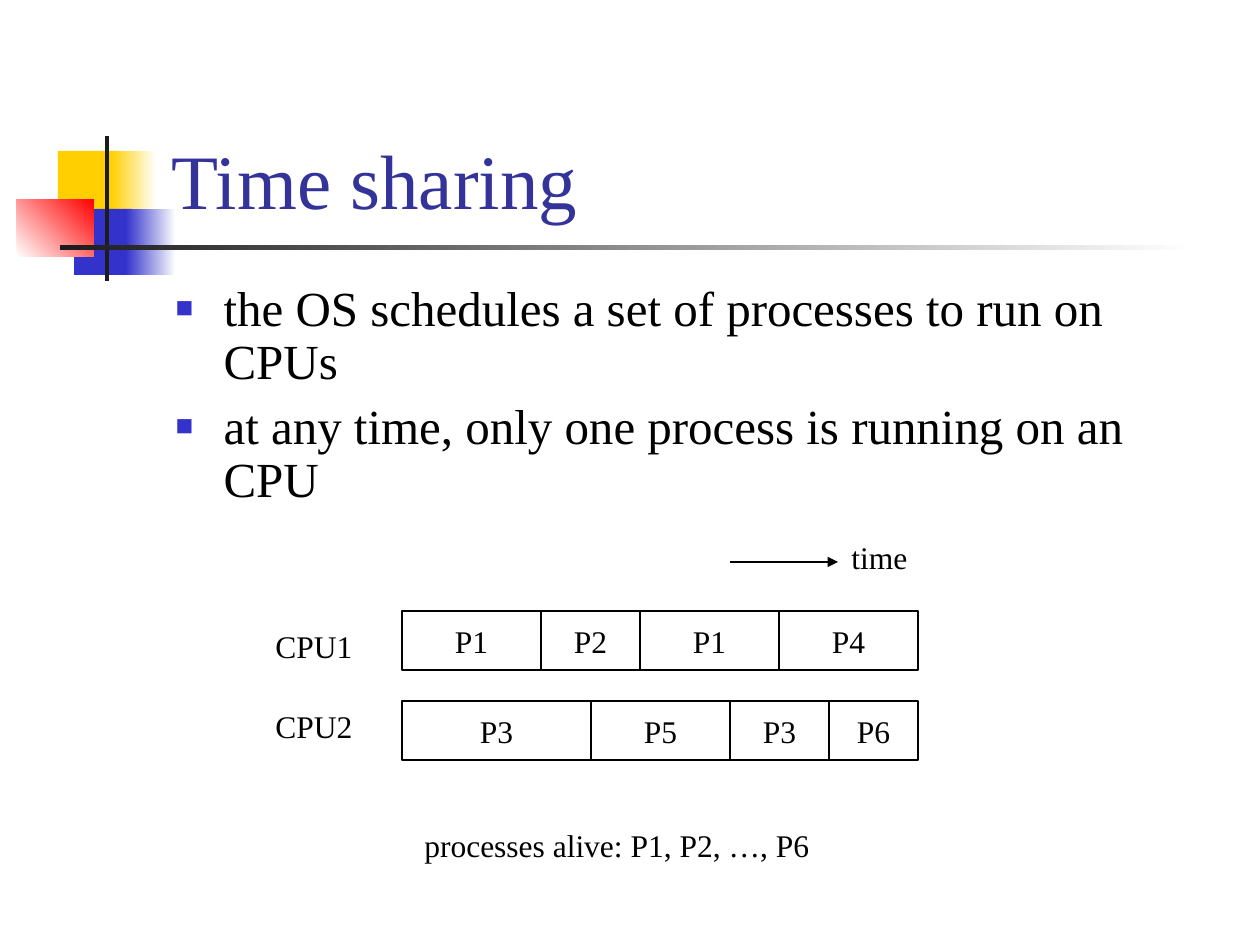
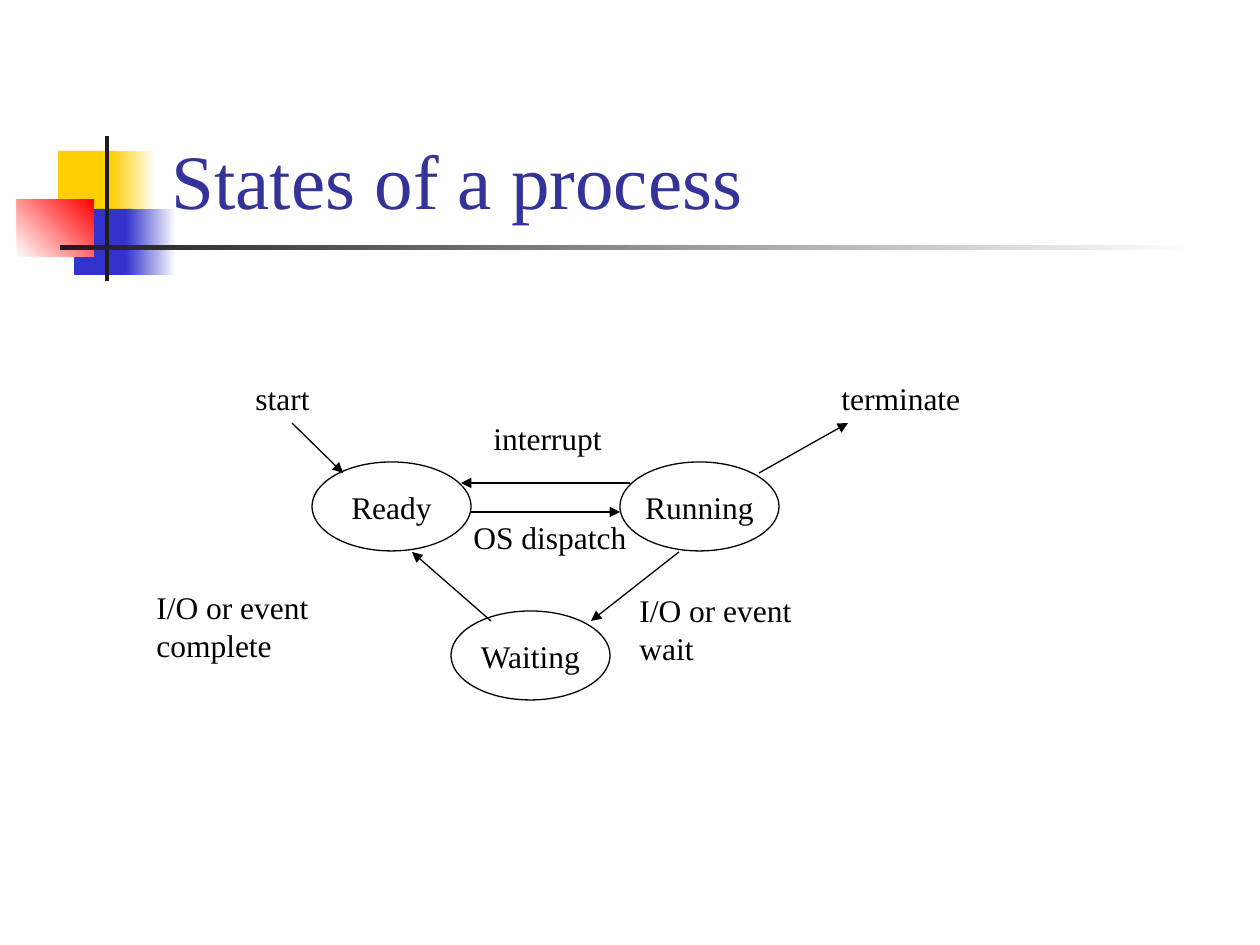
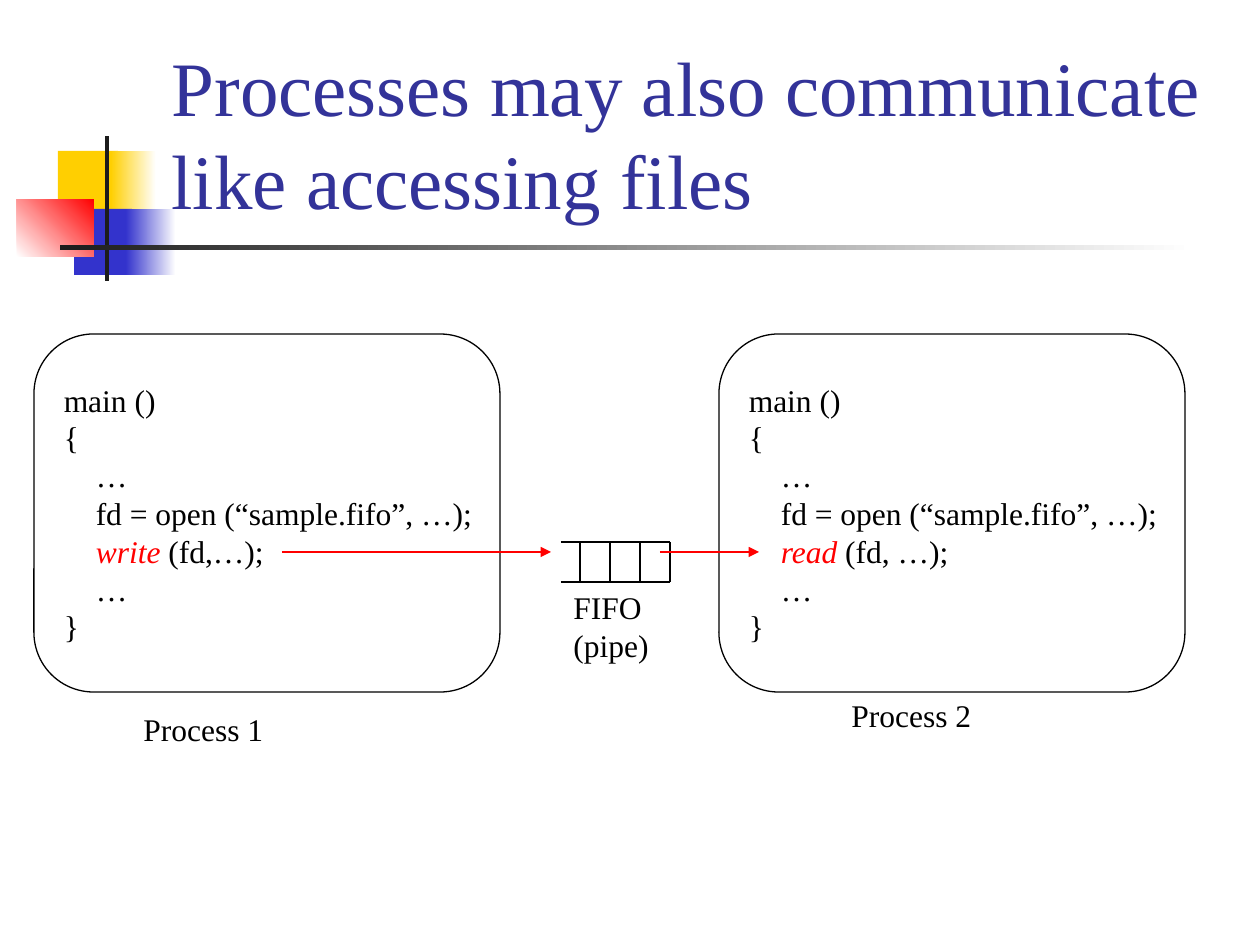
from lxml.etree import SubElement
from pptx import Presentation
from pptx.dml.color import RGBColor
from pptx.enum.shapes import MSO_CONNECTOR as Connector, MSO_SHAPE as Shape
from pptx.enum.text import MSO_ANCHOR as Anchor, MSO_AUTO_SIZE as AutoSize, PP_ALIGN as Align
from pptx.oxml.ns import qn
from pptx.util import Emu, Pt

PX_PER_INCH = 126
SLIDE_SIZE = (1260, 945)
FONT = "Times New Roman"
BLACK, WHITE, RED = "000000", "FFFFFF", "FF0000"
YELLOW, BLUE, CHARCOAL, TITLE_BLUE = "FFCF01", "3333CC", "1C1C1C", "333399"
LINE_WIDTH = Pt(0.75)
LABEL_HEIGHT = 50
TITLE_BOX = (159, 29, 1074, 202)
BODY_BOX = (163, 278, 1071, 244)
TITLE_AND_BODY, TITLE_ONLY = 1, 5

# Box, fill colours (two make a gradient), gradient angle
MOTIF = [
    ((58, 151, 60, 66), [YELLOW], 0),
    ((111, 151, 45, 66), [YELLOW, WHITE], 0),
    ((74, 209, 58, 66), [BLUE], 0),
    ((126, 209, 50, 66), [BLUE, WHITE], 0),
    ((17, 199, 77, 58), [WHITE, RED], 45),
    ((105, 136, 4, 145), [CHARCOAL], 0),
    ((60, 245, 1134, 5), [CHARCOAL, WHITE], 0),
]

# Time sharing: labels are text, left, top, width
SCHEDULING_POINTS = [
    "the OS schedules a set of processes to run on CPUs",
    "at any time, only one process is running on an CPU",
]
TIMELINE_LEFT, TIMELINE_HEIGHT = 402, 59
TIMELINES = [
    (611, [("P1", 139), ("P2", 99), ("P1", 139), ("P4", 139)]),
    (701, [("P3", 189), ("P5", 139), ("P3", 99), ("P6", 89)]),
]
TIME_ARROW = (730, 562, 838, 562)
SCHEDULE_LABELS = [
    ("time", 839, 532, 81),
    ("CPU1", 263, 621, 102),
    ("CPU2", 263, 701, 102),
    ("processes alive: P1, P2, …, P6", 412, 820, 410),
]

# States of a process
STATE_SIZE = (159, 89)
STATES = [("Ready", 312, 462), ("Running", 620, 462), ("Waiting", 451, 611)]
TRANSITIONS = [
    (630, 483, 461, 483),
    (471, 512, 620, 512),
    (679, 552, 591, 621),
    (491, 621, 412, 552),
    (292, 423, 343, 473),
    (759, 473, 848, 423),
]
STATE_LABELS = [
    ("start", 243, 373, 79),
    ("terminate", 829, 373, 144),
    ("interrupt", 481, 413, 134),
    ("OS dispatch", 461, 512, 178),
    ("I/O or event wait", 627, 585, 239),
    ("I/O or event complete", 144, 582, 300),
]

# Communication through a FIFO
PROGRAM_TOP, PROGRAM_SIZE, CODE_INDENT = 334, (466, 358), 32
PROGRAMS = [(34, "write", " (fd,…);"), (719, "read", " (fd, …);")]
QUEUE_LEFT, QUEUE_TOP, QUEUE_BOTTOM = 561, 542, 582
QUEUE_DIVIDERS = range(580, 671, 30)
DATA_ARROWS = [(282, 552, 551, 552), (660, 552, 759, 552)]
PIPE_LABELS = [
    ("FIFO\n(pipe)", 561, 582, 100),
    ("Process 1", 131, 704, 145),
    ("Process 2", 839, 690, 145),
]


def px(length):
    return Emu(round(length * 914400 / PX_PER_INCH))


def scaled(lengths):
    return [px(length) for length in lengths]


def rgb(hex_colour):
    return RGBColor.from_string(hex_colour)


def assign(target, values):
    for attribute, value in values.items():
        setattr(target, attribute, value)


def add_run(paragraph, text, size=18, colour=BLACK, italic=False):
    run = paragraph.add_run()
    run.text = text
    assign(run.font, {"name": FONT, "size": Pt(size), "italic": italic})
    run.font.color.rgb = rgb(colour)


def add_paragraphs(frame, count):
    return [frame.paragraphs[0]] + [frame.add_paragraph() for _ in range(count - 1)]


def place(shape, box):
    assign(shape, dict(zip(("left", "top", "width", "height"), scaled(box))))


def add_outline(slide, preset, box):
    shape = slide.shapes.add_shape(preset, *scaled(box))
    shape.shadow.inherit = False
    shape.fill.background()
    shape.line.color.rgb = rgb(BLACK)
    shape.line.width = LINE_WIDTH
    assign(shape.text_frame, {"word_wrap": False, "vertical_anchor": Anchor.MIDDLE})
    return shape


def add_named_outline(slide, preset, box, name):
    paragraph = add_outline(slide, preset, box).text_frame.paragraphs[0]
    paragraph.alignment = Align.CENTER
    add_run(paragraph, name)


def add_labels(slide, labels):
    for text, left, top, width in labels:
        lines = text.split("\n")
        frame = slide.shapes.add_textbox(
            *scaled((left, top, width, LABEL_HEIGHT + 38 * (len(lines) - 1)))).text_frame
        assign(frame, {"word_wrap": False, "auto_size": AutoSize.SHAPE_TO_FIT_TEXT})
        for paragraph, line in zip(add_paragraphs(frame, len(lines)), lines):
            add_run(paragraph, line)


def add_line(slide, ends, colour=BLACK, arrow=False):
    connector = slide.shapes.add_connector(Connector.STRAIGHT, *scaled(ends))
    connector.line.color.rgb = rgb(colour)
    connector.line.width = LINE_WIDTH
    properties = connector.element.spPr
    if arrow:
        SubElement(properties.get_or_add_ln(), qn("a:tailEnd"), type="triangle")
    SubElement(properties, qn("a:effectLst"))


def add_slide(deck, layout, title):
    slide = deck.slides.add_slide(deck.slide_layouts[layout])
    heading = slide.shapes.title
    place(heading, TITLE_BOX)
    assign(heading.text_frame, {"vertical_anchor": Anchor.BOTTOM, "auto_size": AutoSize.NONE,
                                "word_wrap": True})
    paragraph = heading.text_frame.paragraphs[0]
    paragraph.alignment = Align.LEFT
    add_run(paragraph, title, 44, TITLE_BLUE)
    return slide


def add_bullets(slide, points):
    body = slide.placeholders[1]
    place(body, BODY_BOX)
    body.text_frame.auto_size = AutoSize.NONE
    for paragraph, point in zip(add_paragraphs(body.text_frame, len(points)), points):
        assign(paragraph, {"line_spacing": 0.9, "space_before": Pt(7)})
        add_run(paragraph, point, 28)
        properties = paragraph._p.get_or_add_pPr()
        properties.set("marL", str(px(48)))
        properties.set("indent", str(-px(48)))
        SubElement(SubElement(properties, qn("a:buClr")), qn("a:srgbClr"), val=BLUE)
        SubElement(properties, qn("a:buSzPct"), val="60000")
        SubElement(properties, qn("a:buFont"), typeface=FONT)
        SubElement(properties, qn("a:buChar"), char="■")


def decorate_master(deck, slide):
    """Draw the motif on the slide, then move it behind the master's placeholders."""
    for index, (box, colours, angle) in enumerate(MOTIF):
        block = slide.shapes.add_shape(Shape.RECTANGLE, *scaled(box))
        block.shadow.inherit = False
        block.line.fill.background()
        if len(colours) == 1:
            block.fill.solid()
            block.fill.fore_color.rgb = rgb(colours[0])
        else:
            block.fill.gradient()
            block.fill.gradient_angle = angle
            for position, (stop, colour) in enumerate(zip(block.fill.gradient_stops, colours)):
                stop.position = position
                stop.color.rgb = rgb(colour)
        block.element.nvSpPr.cNvPr.set("id", str(100 + index))
        deck.slide_master.shapes.element.insert(2 + index, block.element)


def build_time_sharing(deck):
    slide = add_slide(deck, TITLE_AND_BODY, "Time sharing")
    add_bullets(slide, SCHEDULING_POINTS)
    add_line(slide, TIME_ARROW, arrow=True)
    for top, slices in TIMELINES:
        left = TIMELINE_LEFT
        for process, width in slices:
            add_named_outline(slide, Shape.RECTANGLE, (left, top, width, TIMELINE_HEIGHT), process)
            left += width
    add_labels(slide, SCHEDULE_LABELS)
    return slide


def build_states(deck):
    slide = add_slide(deck, TITLE_ONLY, "States of a process")
    for state, left, top in STATES:
        add_named_outline(slide, Shape.OVAL, (left, top, *STATE_SIZE), state)
    for ends in TRANSITIONS:
        add_line(slide, ends, arrow=True)
    add_labels(slide, STATE_LABELS)


def add_program(slide, left, call, arguments):
    box = add_outline(slide, Shape.ROUNDED_RECTANGLE, (left, PROGRAM_TOP, *PROGRAM_SIZE))
    # Indent level, highlighted call, plain text
    code = [(0, "", "main ()"), (0, "", "{"), (1, "", "…"),
            (1, "", "fd = open (“sample.fifo”, …);"),
            (1, call, arguments), (1, "", "…"), (0, "", "}")]
    for paragraph, (level, highlight, plain) in zip(add_paragraphs(box.text_frame, len(code)), code):
        paragraph.alignment = Align.LEFT
        paragraph._p.get_or_add_pPr().set("marL", str(px(level * CODE_INDENT)))
        if highlight:
            add_run(paragraph, highlight, colour=RED, italic=True)
        add_run(paragraph, plain)


def build_pipe(deck):
    slide = add_slide(deck, TITLE_ONLY, "Processes may also communicate like accessing files")
    for program in PROGRAMS:
        add_program(slide, *program)
    for rail in (QUEUE_TOP, QUEUE_BOTTOM):
        add_line(slide, (QUEUE_LEFT, rail, QUEUE_DIVIDERS[-1], rail))
    for divider in QUEUE_DIVIDERS:
        add_line(slide, (divider, QUEUE_TOP, divider, QUEUE_BOTTOM))
    for ends in DATA_ARROWS:
        add_line(slide, ends, RED, arrow=True)
    add_labels(slide, PIPE_LABELS)


def main():
    deck = Presentation()
    deck.slide_width, deck.slide_height = scaled(SLIDE_SIZE)
    decorate_master(deck, build_time_sharing(deck))
    build_states(deck)
    build_pipe(deck)
    deck.save("out.pptx")


if __name__ == "__main__":
    main()
